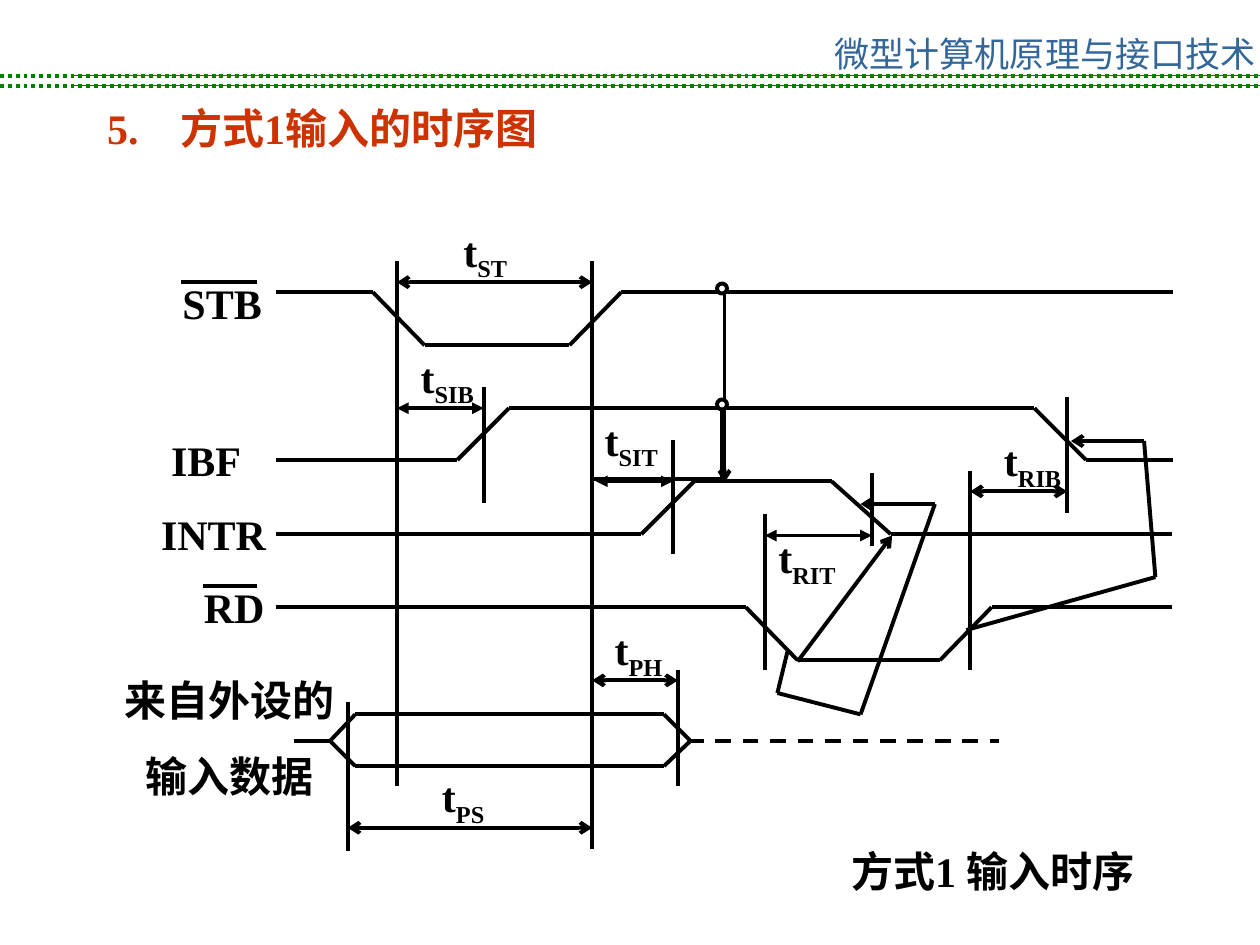
from lxml import etree
from pptx import Presentation
from pptx.dml.color import RGBColor
from pptx.enum.dml import MSO_LINE
from pptx.enum.shapes import MSO_CONNECTOR, MSO_SHAPE
from pptx.enum.text import MSO_ANCHOR, MSO_AUTO_SIZE, PP_ALIGN
from pptx.oxml.ns import qn
from pptx.util import Inches, Pt

STRAIGHT = MSO_CONNECTOR.STRAIGHT
RECTANGLE, OVAL = MSO_SHAPE.RECTANGLE, MSO_SHAPE.OVAL
LEFT, CENTER = PP_ALIGN.LEFT, PP_ALIGN.CENTER
TOP, NO_FIT = MSO_ANCHOR.TOP, MSO_AUTO_SIZE.NONE
DASH, DOT = MSO_LINE.DASH, MSO_LINE.ROUND_DOT

BLACK = RGBColor(0, 0, 0)
WHITE = RGBColor(255, 255, 255)
GREEN = RGBColor(0, 128, 0)
BLUE = RGBColor(0x33, 0x66, 0x99)
RED = RGBColor(0xCC, 0x33, 0x00)
LATIN_FONT, CHINESE_FONT = "Times New Roman", "Noto Sans CJK SC"
COLUMNS, ROWS = 100, 75


class TimingSlide:
    def __init__(self, presentation):
        self.slide = presentation.slides.add_slide(presentation.slide_layouts[5])
        self.column = presentation.slide_width / COLUMNS
        self.row = presentation.slide_height / ROWS
        self.text_size = 24
        self.line_width = 2.25

    def place(self, left, top, width, height):
        return (round(left * self.column), round(top * self.row),
                round(width * self.column), round(height * self.row))

    def format_run(self, run, color=BLACK, size=None, bold=True, latin=LATIN_FONT):
        run.font.size = Pt(size or self.text_size)
        run.font.bold = bold
        run.font.color.rgb = color
        run.font.name = latin
        properties = run.font._element
        etree.SubElement(properties, qn("a:ea"), typeface=CHINESE_FONT)
        return properties

    def format_frame(self, text_frame, alignment, wrap=True):
        text_frame.word_wrap = wrap
        text_frame.auto_size = NO_FIT
        text_frame.vertical_anchor = TOP
        for index, paragraph in enumerate(text_frame.paragraphs):
            paragraph.alignment = alignment
            paragraph.space_before = Pt(15 if index else 0)

    def title(self, text, box, tab_stop):
        title = self.slide.shapes.title
        title.left, title.top, title.width, title.height = self.place(*box)
        title.text_frame.text = text
        self.format_frame(title.text_frame, LEFT)
        paragraph = title.text_frame.paragraphs[0]
        tabs = etree.SubElement(paragraph._p.get_or_add_pPr(), qn("a:tabLst"))
        etree.SubElement(tabs, qn("a:tab"), pos=str(round(tab_stop * self.column)), algn="l")
        for run in paragraph.runs:
            self.format_run(run, RED)

    def text(self, text, box, alignment=LEFT):
        shape = self.slide.shapes.add_textbox(*self.place(*box))
        shape.text_frame.text = text
        self.format_frame(shape.text_frame, alignment)
        for paragraph in shape.text_frame.paragraphs:
            self.format_run(paragraph.runs[0])

    def course_name(self, text, box):
        shape = self.slide.shapes.add_textbox(*self.place(*box))
        shape.text_frame.text = text
        self.format_frame(shape.text_frame, CENTER, wrap=False)
        run = shape.text_frame.paragraphs[0].runs[0]
        properties = self.format_run(run, BLUE, 20, False, CHINESE_FONT)
        outline = etree.Element(qn("a:ln"), w=str(Pt(0.75)))
        fill = etree.SubElement(outline, qn("a:solidFill"))
        etree.SubElement(fill, qn("a:srgbClr"), val=str(BLUE))
        properties.insert(0, outline)

    def interval_label(self, subscript, left, top, framed=False):
        shapes = self.slide.shapes
        box = self.place(left, top, 10.3, 5.6)
        if framed:
            shape = shapes.add_shape(RECTANGLE, *box)
            shape.shadow.inherit = False
            shape.fill.background()
            shape.line.color.rgb = BLACK
            shape.line.width = Pt(self.line_width)
        else:
            shape = shapes.add_textbox(*box)
        shape.text_frame.text = "t"
        self.format_frame(shape.text_frame, LEFT)
        paragraph = shape.text_frame.paragraphs[0]
        self.format_run(paragraph.runs[0])
        run = paragraph.add_run()
        run.text = subscript
        self.format_run(run).set("baseline", "-25000")

    def line(self, start, end, head=None, tail=None, color=BLACK, width=None, dash=None):
        x1, y1, x2, y2 = self.place(*start, *end)
        connector = self.slide.shapes.add_connector(STRAIGHT, x1, y1, x2, y2)
        connector.line.color.rgb = color
        connector.line.width = Pt(width or self.line_width)
        if dash:
            connector.line.dash_style = dash
        outline = connector.line._get_or_add_ln()
        for tag, kind in (("a:headEnd", head), ("a:tailEnd", tail)):
            if kind:
                etree.SubElement(outline, qn(tag), type=kind)
        etree.SubElement(connector._element.spPr, qn("a:effectLst"))

    def trace(self, *points, tail=None):
        last = len(points) - 2
        for index, (start, end) in enumerate(zip(points, points[1:])):
            self.line(start, end, tail=tail if index == last else None)

    def interval(self, left, right, y, arrow="arrow"):
        self.line((left, y), (right, y), head=arrow, tail=arrow)

    def node(self, left, top):
        shape = self.slide.shapes.add_shape(OVAL, *self.place(left, top, 0.8, 0.8))
        shape.shadow.inherit = False
        shape.fill.solid()
        shape.fill.fore_color.rgb = WHITE
        shape.line.color.rgb = BLACK
        shape.line.width = Pt(self.line_width)


def main():
    presentation = Presentation()
    presentation.slide_width, presentation.slide_height = Inches(10), Inches(7.5)
    timing = TimingSlide(presentation)

    timing.course_name("微型计算机原理与接口技术", (68.9, 2.1, 28.1, 2.4))
    for left, y in ((5.9, 6.8), (5.7, 6)):
        timing.line((left, y), (COLUMNS, y), color=GREEN, width=0.75)
        timing.line((0, y), (COLUMNS, y), color=GREEN, dash=DOT)
    timing.title("5.\t方式1输入的时序图", (7.5, 7.6, 41.7, 5), 5.8)
    timing.text("方式1 输入时序", (64.2, 66.6, 29.2, 5), CENTER)

    signals = (
        ((21.9, 23.2), (29.6, 23.2), (33.7, 27.4), (45.2, 27.4), (49.3, 23.2), (93.1, 23.2)),
        ((21.9, 36.5), (36.3, 36.5), (40.4, 32.4), (82.1, 32.4), (86.2, 36.5), (93.1, 36.5)),
        ((21.9, 42.4), (50.9, 42.4), (55.1, 38.2), (66, 38.2), (70.7, 42.4), (93, 42.4)),
        ((21.9, 48.2), (59.2, 48.2), (63.3, 52.4), (74.6, 52.4), (78.7, 48.2), (93, 48.2)),
        ((23.3, 58.8), (26.2, 58.8), (28.2, 56.7), (52.7, 56.7), (54.8, 58.8)),
        ((26.2, 58.8), (28.2, 60.8), (52.7, 60.8), (54.8, 58.8)),
    )
    for points in signals:
        timing.trace(*points)
    timing.line((54.6, 58.8), (79.3, 58.8), dash=DASH)

    boundaries = (
        (31.5, 20.7, 62.4), (47, 20.7, 67.4), (27.6, 55.7, 67.5), (60.7, 40.8, 53.2),
        (77, 37.4, 53.2), (69.2, 37.5, 43.3), (84.7, 31.5, 40.7), (38.4, 30.7, 39.9),
        (53.4, 34.9, 44), (53.8, 53.2, 62.4),
    )
    for x, top, bottom in boundaries:
        timing.line((x, top), (x, bottom))

    for left, right, y in ((31.5, 38.4, 32.4), (60.7, 69.2, 42.5), (47.3, 53.4, 38.2)):
        timing.interval(left, right, y, "triangle")
    for left, right, y in ((77, 84.7, 39), (47, 53.8, 54), (27.6, 47, 65.7), (31.5, 47, 22.4)):
        timing.interval(left, right, y)

    timing.interval_label("SIT", 47, 32.4, framed=True)
    for subscript, left, top in (("SIB", 32.4, 27.4), ("RIT", 60.8, 41.7), ("RIB", 78.7, 34),
                                 ("PS", 34.1, 60.7), ("PH", 47.8, 49), ("ST", 35.8, 17.4)):
        timing.interval_label(subscript, left, top)

    for name, left, top, width in (("STB", 13.5, 21.5, 14.6), ("IBF", 12.6, 34, 11.2),
                                   ("INTR", 11.8, 39.9, 18), ("RD", 15.2, 45.7, 14.6)):
        timing.text(name, (left, top, width, 5))
    for left, y in ((14.4, 22.4), (16.1, 46.5)):
        timing.line((left, y), (20.4, y))
    timing.text("来自外设的\n输入数据", (7.5, 53, 21.4, 11.1), CENTER)

    causes = (
        ((63.3, 52.5), (70.8, 42.5)),
        ((62.5, 51.7), (61.7, 55), (68.3, 56.7), (74.2, 40), (68.3, 40)),
        ((76.7, 50), (91.7, 45.8), (90.8, 35), (85, 35)),
        ((57.5, 23.3), (57.5, 38.3)),
    )
    for points in causes:
        timing.trace(*points, tail="arrow")
    for top in (22.5, 31.7):
        timing.node(56.9, top)

    presentation.save("out.pptx")


if __name__ == "__main__":
    main()
